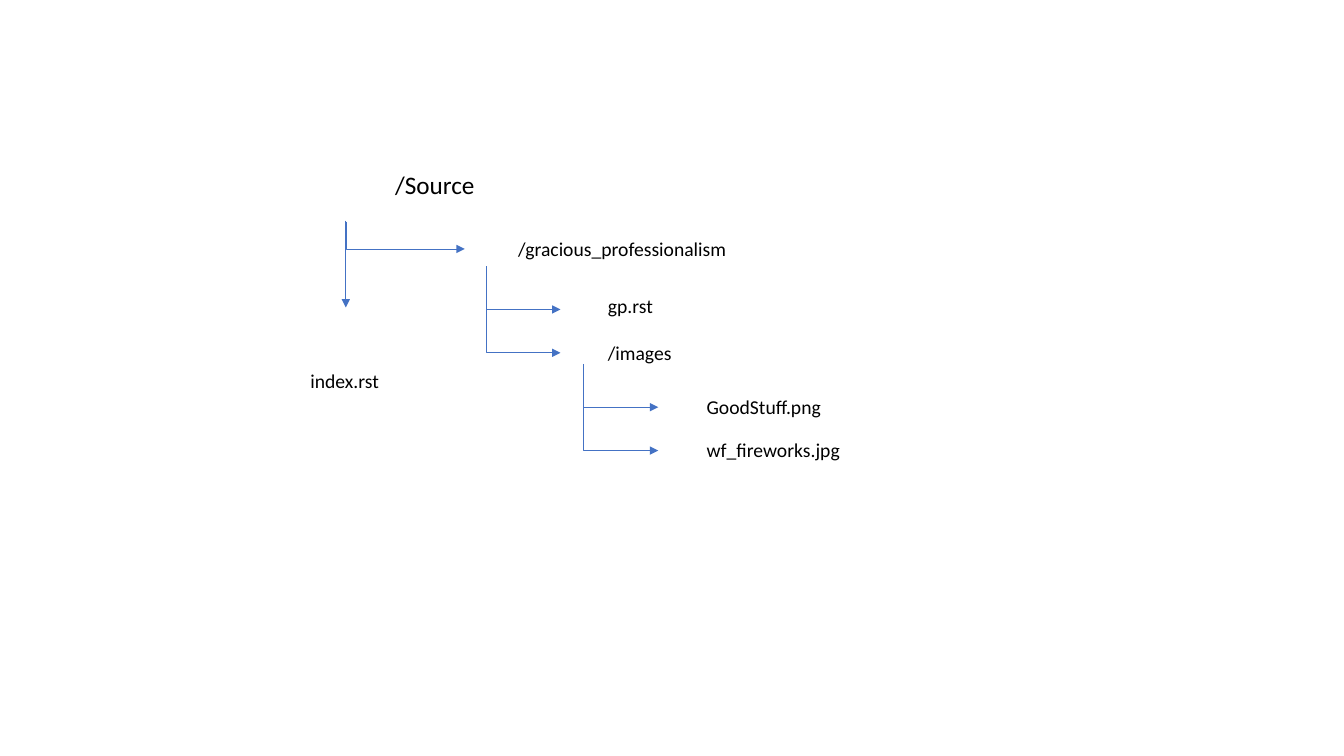
from pptx import Presentation
from pptx.dml.color import RGBColor
from pptx.enum.shapes import MSO_CONNECTOR
from pptx.enum.text import MSO_AUTO_SIZE
from pptx.oxml.ns import qn
from pptx.util import Inches, Pt
from lxml.etree import SubElement

BLACK = RGBColor(0x00, 0x00, 0x00)
BLUE = RGBColor(0x44, 0x72, 0xC4)


class Tree:
    """Draws a folder tree on one slide."""

    def __init__(self, slide, font="Calibri"):
        self.shapes = slide.shapes
        self.font = font

    def label(self, text, left, top, width, height=0.34, size=14):
        box = self.shapes.add_textbox(
            Inches(left), Inches(top), Inches(width), Inches(height))
        frame = box.text_frame
        frame.word_wrap = False
        frame.auto_size = MSO_AUTO_SIZE.SHAPE_TO_FIT_TEXT
        para = frame.paragraphs[0]
        para.text = text
        para.font.name = self.font
        para.font.size = Pt(size)
        para.font.color.rgb = BLACK

    def arrow(self, kind, x1, y1, x2, y2):
        line = self.shapes.add_connector(
            kind, Inches(x1), Inches(y1), Inches(x2), Inches(y2))
        line.line.color.rgb = BLUE
        line.line.width = Pt(0.5)
        props = line.element.spPr
        SubElement(props.find(qn("a:ln")), qn("a:tailEnd"), type="triangle")
        SubElement(props, qn("a:effectLst"))
        return props

    def down(self, x, y, drop):
        self.arrow(MSO_CONNECTOR.STRAIGHT, x, y, x, y + drop)

    def branch(self, x, y, drop, run):
        """Go down by drop, then right by run: a mirrored elbow, turned."""
        mid_x, mid_y = x + run / 2, y + drop / 2
        props = self.arrow(
            MSO_CONNECTOR.ELBOW, mid_x + drop / 2, mid_y - run / 2,
            mid_x - drop / 2, mid_y + run / 2)
        props.find(qn("a:xfrm")).set("rot", str(270 * 60000))
        props.find(qn("a:prstGeom")).set("prst", "bentConnector2")


def main():
    deck = Presentation()
    deck.slide_width = Inches(13.33)
    deck.slide_height = Inches(7.5)
    tree = Tree(deck.slides.add_slide(deck.slide_layouts[6]))

    # Root folder
    tree.label("/Source", 3.82, 1.63, 1, 0.4, size=18)
    tree.branch(3.43, 2.2, 0.27, 1.18)
    tree.down(3.43, 2.19, 0.86)
    tree.label("/gracious_professionalism", 5.04, 2.3, 2.29)
    tree.label("index.rst", 2.98, 3.61, 0.89)

    # Two arrows below each subfolder
    for x, y in ((4.82, 2.64), (5.79, 3.61)):
        tree.branch(x, y, 0.43, 0.74)
        tree.branch(x, y + 0.04, 0.82, 0.74)

    # Subfolder contents
    tree.label("gp.rst", 5.93, 2.87, 0.65)
    tree.label("/images", 5.93, 3.33, 0.84)
    tree.label("GoodStuff.png", 6.91, 3.87, 1.35)
    tree.label("wf_fireworks.jpg", 6.91, 4.3, 1.54)

    deck.save("out.pptx")


if __name__ == "__main__":
    main()
